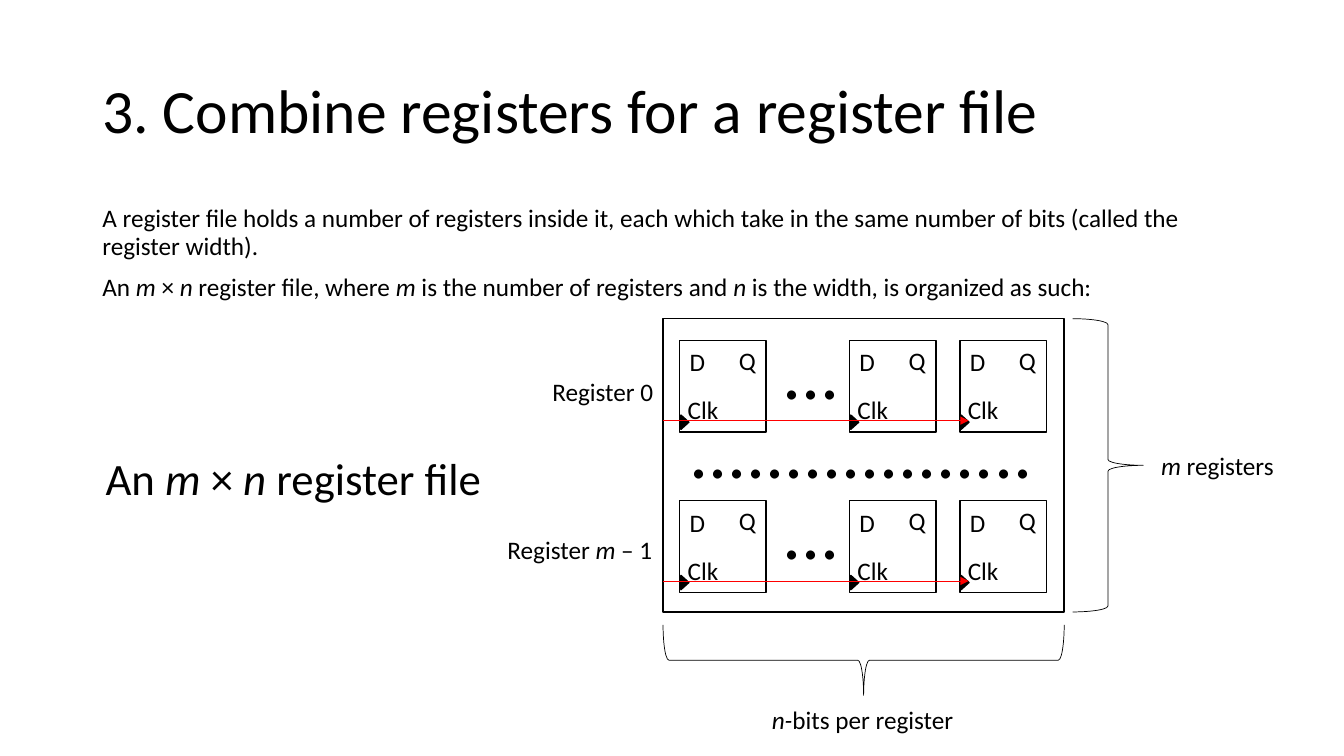
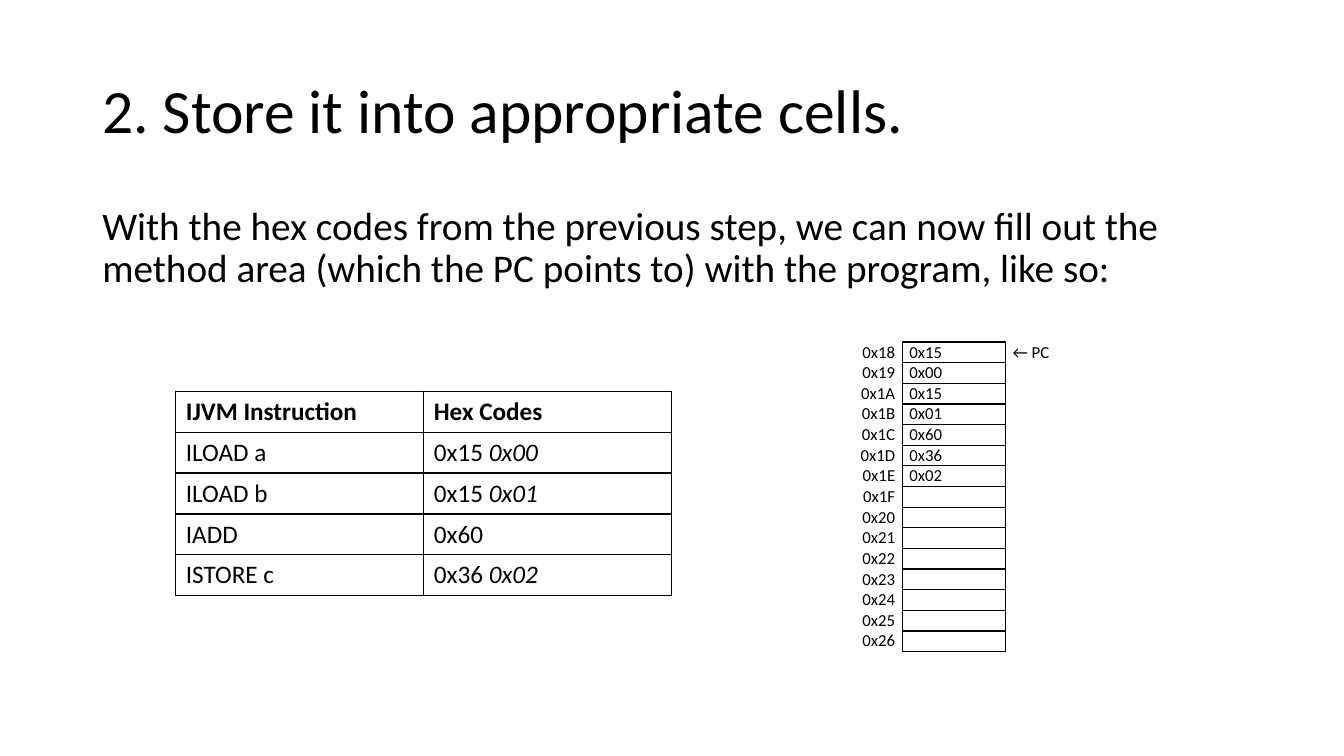
from lxml.etree import SubElement
from pptx import Presentation
from pptx.dml.color import RGBColor
from pptx.enum.shapes import MSO_CONNECTOR, MSO_SHAPE
from pptx.enum.text import MSO_ANCHOR, PP_ALIGN
from pptx.oxml.ns import qn
from pptx.util import Cm, Pt

COLORS = {"ink": "000000", "paper": "FFFFFF", "clock": "FF0000"}
FONT = "Calibri"
LABEL = {"word_wrap": False}
WRAPPED = {"word_wrap": True}
TITLE = {"word_wrap": True, "vertical_anchor": MSO_ANCHOR.MIDDLE}
TIGHT = {"line_spacing": 0.9}
TITLE_BOX = (2.33, 1.01, 29.21, 3.68)
BODY_BOX = (2.33, 5.07, 29.21, 12.2)


def write(frame, lines, size=18, bold=False, layout=LABEL, paragraph_format={}):
    """Fill a text frame; parts between asterisks are italic."""
    for name, value in layout.items():
        setattr(frame, name, value)
    for number, line in enumerate(lines):
        paragraph = frame.add_paragraph() if number else frame.paragraphs[0]
        for name, value in paragraph_format.items():
            setattr(paragraph, name, value)
        if number:
            paragraph.space_before = Pt(10)
        if not line:
            SubElement(paragraph._p, qn("a:endParaRPr"), sz=str(size * 100))
        for part, text in enumerate(line.split("*")):
            if text:
                run = paragraph.add_run()
                run.text = text
                formats = {"name": FONT, "size": Pt(size), "bold": bold, "italic": part % 2 == 1}
                for name, value in formats.items():
                    setattr(run.font, name, value)
                run.font.color.rgb = RGBColor.from_string(COLORS["ink"])


def outline(shapes, kind, box, fill=None, width=1, rotation=0):
    """Draw a preset shape with a dark outline."""
    shape = shapes.add_shape(kind, *map(Cm, box))
    shape.shadow.inherit = False
    shape.rotation = rotation
    if fill:
        shape.fill.solid()
        shape.fill.fore_color.rgb = RGBColor.from_string(COLORS[fill])
    else:
        shape.fill.background()
    shape.line.color.rgb = RGBColor.from_string(COLORS["ink"])
    shape.line.width = Pt(width)


prs = Presentation()
prs.slide_width, prs.slide_height = Cm(33.87), Cm(19.05)

# Titles and body text
CONTENT = [
    ("3. Combine registers for a register file", 18, [
        "A register file holds a number of registers inside it, each which take in the same "
        "number of bits (called the register width).",
        "An *m *× *n* register file, where *m* is the number of registers and *n* is the width, "
        "is organized as such:"]),
    ("2. Store it into appropriate cells.", 28, [
        "With the hex codes from the previous step, we can now fill out the method area "
        "(which the PC points to) with the program, like so:"]),
]
slides = []
for title, body_size, body in CONTENT:
    slide = prs.slides.add_slide(prs.slide_layouts[6])
    slides.append(slide)
    for box, lines, size, layout in [(TITLE_BOX, [title], 44, TITLE),
                                     (BODY_BOX, body, body_size, WRAPPED)]:
        frame = slide.shapes.add_textbox(*map(Cm, box)).text_frame
        write(frame, lines, size, layout=layout, paragraph_format=TIGHT)
register_slide, memory_slide = slides
shapes = register_slide.shapes

# Flip-flops: two registers, three bits shown in each
REGISTER_TOPS = (8.58, 12.62)
BIT_LEFTS = (17.13, 21.41, 24.19)
PINS = [("Q", 1.24, 0, 0.94), ("D", 0, 0.03, 0.91), ("Clk", -0.05, 1.24, 1.3)]
for top in REGISTER_TOPS:
    for left in BIT_LEFTS:
        flip_flop = register_slide.shapes.add_group_shape().shapes
        outline(flip_flop, MSO_SHAPE.RECTANGLE, (left, top, 2.18, 2.31), "paper")
        for pin, dx, dy, width in PINS:
            pin_box = flip_flop.add_textbox(Cm(left + dx), Cm(top + dy), Cm(width), Cm(1.02))
            write(pin_box.text_frame, [pin])
        outline(flip_flop, MSO_SHAPE.ISOSCELES_TRIANGLE, (left - 0.05, top + 1.96, 0.36, 0.2),
                "ink", rotation=90)

# Ellipses for the bits and registers left out
for dots, left, top, width in [(3, 19.47, 8.03, 1.98), (3, 19.47, 12.07, 1.98),
                               (18, 17.12, 10.03, 9.27)]:
    ellipsis = shapes.add_textbox(Cm(left), Cm(top), Cm(width), Cm(2.56))
    write(ellipsis.text_frame, ["." * dots], 54, layout=WRAPPED)

# Register file frame
FILE_LEFT, FILE_TOP, FILE_WIDTH, FILE_HEIGHT = 16.71, 8.03, 10.11, 7.39
outline(shapes, MSO_SHAPE.RECTANGLE, (FILE_LEFT, FILE_TOP, FILE_WIDTH, FILE_HEIGHT))

# Clock lines
for top in REGISTER_TOPS:
    clock_y = Cm(top + 2.02)
    clock = shapes.add_connector(MSO_CONNECTOR.STRAIGHT, Cm(FILE_LEFT), clock_y, Cm(24.41), clock_y)
    clock.line.color.rgb = RGBColor.from_string(COLORS["clock"])
    clock.line.width = Pt(0.5)
    properties = clock._element.spPr
    SubElement(properties.find(qn("a:ln")), qn("a:tailEnd"), type="triangle")
    SubElement(properties, qn("a:effectLst"))

# Braces beside and below the frame; the lower one is turned about its centre
BRACE = 1.78
outline(shapes, MSO_SHAPE.LEFT_BRACE, (27.03, FILE_TOP, BRACE, FILE_HEIGHT),
        width=0.5, rotation=180)
outline(shapes, MSO_SHAPE.LEFT_BRACE,
        (FILE_LEFT + (FILE_WIDTH - BRACE) / 2, 11.58, BRACE, FILE_WIDTH), width=0.5, rotation=270)

# Labels
for text, left, top, width, height, size in [
    ("An *m *× *n* register file", 2.41, 11.23, 10.08, 1.62, 32),
    ("*m *registers", 29.01, 11.23, 3.38, 1.02, 18),
    ("Register 0", 13.67, 9.35, 3.07, 1.02, 18),
    ("Register *m* – 1", 12.54, 13.34, 4.22, 1.02, 18),
    ("*n-*bits per register", 19.2, 17.63, 5.13, 1.02, 18),
]:
    label = shapes.add_textbox(Cm(left), Cm(top), Cm(width), Cm(height))
    write(label.text_frame, [text], size)

# Memory cells: address, value and pointer
stored = ["0x15", "0x00", "0x15", "0x01", "0x60", "0x36", "0x02"]
memory = []
for offset in range(15):
    value = stored[offset] if offset < len(stored) else ""
    memory.append((f"0x{0x18 + offset:X}", value, "" if offset else "← PC"))

instructions = [
    ("IJVM Instruction", "Hex Codes"),
    ("ILOAD a", "0x15 *0x00*"),
    ("ILOAD b", "0x15 *0x01*"),
    ("IADD", "0x60"),
    ("ISTORE c", "0x36 *0x02*"),
]

# Both tables; the borders of each column are given by side
TABLES = [
    {"rows": memory, "at": (21.16, 8.62), "widths": (1.58, 2.6, 2.6), "row_height": 0.52,
     "size": 12, "header": False, "borders": ("R", "LRTB", "L"),
     "aligns": (PP_ALIGN.RIGHT, PP_ALIGN.LEFT, PP_ALIGN.LEFT),
     "cell": {"margin_left": Cm(0.18), "margin_right": Cm(0.18),
              "margin_top": 0, "margin_bottom": 0}},
    {"rows": instructions, "at": (4.43, 9.86), "widths": (6.25, 6.25), "row_height": 1.03,
     "size": 18, "header": True, "borders": ("LRTB", "LRTB"),
     "aligns": (PP_ALIGN.LEFT, PP_ALIGN.LEFT),
     "cell": {"vertical_anchor": MSO_ANCHOR.MIDDLE}},
]
for spec_table in TABLES:
    rows, widths = spec_table["rows"], spec_table["widths"]
    table = memory_slide.shapes.add_table(
        len(rows), len(widths), *map(Cm, spec_table["at"]),
        Cm(sum(widths)), Cm(spec_table["row_height"] * len(rows))).table
    table.first_row = table.horz_banding = False
    for column, width in zip(table.columns, widths):
        column.width = Cm(width)
    for r, row in enumerate(rows):
        table.rows[r].height = Cm(spec_table["row_height"])
        for c, text in enumerate(row):
            cell = table.cell(r, c)
            for name, value in spec_table["cell"].items():
                setattr(cell, name, value)
            write(cell.text_frame, [text], spec_table["size"], spec_table["header"] and r == 0,
                  {}, {"alignment": spec_table["aligns"][c]})
            for side in "LRTB":
                edge = SubElement(cell._tc.get_or_add_tcPr(), qn(f"a:ln{side}"), w=str(Pt(1)))
                if side in spec_table["borders"][c]:
                    ink = SubElement(edge, qn("a:solidFill"))
                    SubElement(ink, qn("a:srgbClr"), val=COLORS["ink"])
                else:
                    SubElement(edge, qn("a:noFill"))
            cell.fill.background()

prs.save("out.pptx")
